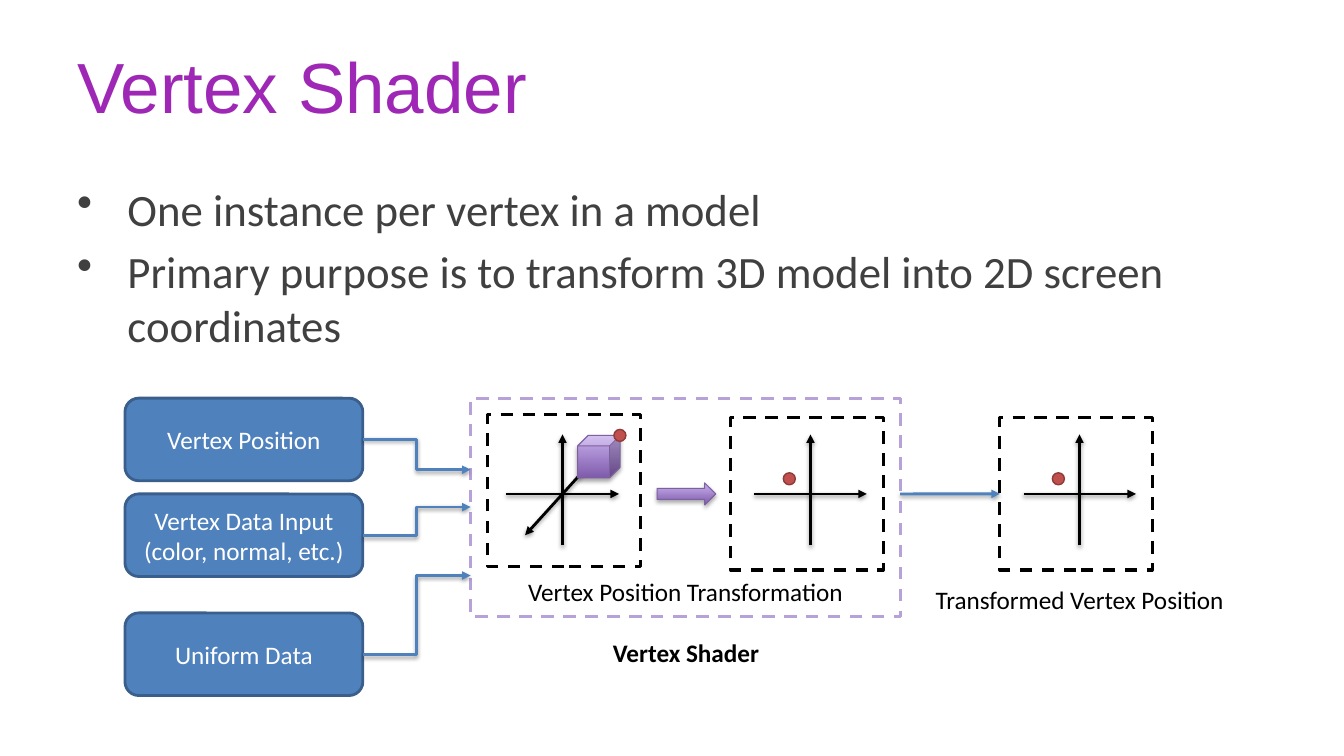
import pptx
import pptx.util
import pptx.dml.color
import pptx.enum.dml
import pptx.enum.shapes
import pptx.enum.text
import pptx.oxml
import pptx.oxml.ns
from dataclasses import dataclass

Pt = pptx.util.Pt
RGB = pptx.dml.color.RGBColor.from_string
Form = pptx.enum.shapes.MSO_SHAPE
Link = pptx.enum.shapes.MSO_CONNECTOR
Align = pptx.enum.text.PP_ALIGN
Anchor = pptx.enum.text.MSO_ANCHOR
qn = pptx.oxml.ns.qn


@dataclass(frozen=True)
class Theme:
    head: str = "9E28B5"
    body: str = "404040"
    ink: str = "000000"
    white: str = "FFFFFF"
    blue: str = "4F81BD"
    navy: str = "3A5F8C"
    lilac: str = "B7A1D9"
    plum: str = "7D60A0"
    fade: tuple = ("7F5BAB", "C8B0ED")
    red: str = "C0504D"
    rust: str = "8E3B39"
    head_font: str = "Arial"
    font: str = "Calibri"
    head_size: float = 50.7
    body_size: float = 32
    label_size: float = 18


class Deck:
    def __init__(self, theme):
        self.theme = theme
        self.file = pptx.Presentation()
        self.file.slide_width, self.file.slide_height = Pt(960), Pt(540)
        self.slide = self.file.slides.add_slide(self.file.slide_layouts[5])
        self.shapes = self.slide.shapes

    def style(self, para, size, color, font=None, bold=False):
        para.font.name = font or self.theme.font
        para.font.size = Pt(size)
        para.font.bold = bold
        para.font.color.rgb = RGB(color)

    def title(self, text, x, y, w, h):
        shape = self.shapes.title
        shape.left, shape.top, shape.width, shape.height = map(Pt, (x, y, w, h))
        frame = shape.text_frame
        frame.text = text
        frame.vertical_anchor = Anchor.TOP
        frame.margin_top = Pt(8.6)
        para = frame.paragraphs[0]
        para.alignment = Align.LEFT
        self.style(para, self.theme.head_size, self.theme.head, self.theme.head_font)

    def bullets(self, items, x, y, w, h):
        frame = self.shapes.add_textbox(*map(Pt, (x, y, w, h))).text_frame
        frame.word_wrap = True
        frame.text = "\n".join(items)
        for para in frame.paragraphs:
            self.style(para, self.theme.body_size, self.theme.body)
            para.space_before = Pt(6.4)
            props = para._p.get_or_add_pPr()
            props.set("marL", str(Pt(36)))
            props.set("indent", str(-Pt(36)))
            mark = pptx.oxml.parse_xml(
                f'<a:buChar {pptx.oxml.ns.nsdecls("a")} char="•"/>')
            props.insert_element_before(mark, "a:tabLst", "a:defRPr", "a:extLst")

    def label(self, text, x, y, w, bold=False):
        frame = self.shapes.add_textbox(*map(Pt, (x, y, w, 28.8))).text_frame
        frame.word_wrap = True
        frame.text = text
        para = frame.paragraphs[0]
        para.alignment = Align.CENTER
        self.style(para, self.theme.label_size, self.theme.ink, bold=bold)

    def shape(self, form, x, y, w, h, line, width, fill=None, dash=False):
        shape = self.shapes.add_shape(form, *map(Pt, (x, y, w, h)))
        shape.shadow.inherit = False
        if fill:
            shape.fill.solid()
            shape.fill.fore_color.rgb = RGB(fill)
        else:
            shape.fill.background()
        shape.line.color.rgb = RGB(line)
        shape.line.width = Pt(width)
        if dash:
            shape.line.dash_style = pptx.enum.dml.MSO_LINE.DASH
        return shape

    def box(self, text, x, y, w, h):
        shape = self.shape(Form.ROUNDED_RECTANGLE, x, y, w, h,
                           self.theme.navy, 2, self.theme.blue)
        frame = shape.text_frame
        frame.text = text
        frame.vertical_anchor = Anchor.MIDDLE
        para = frame.paragraphs[0]
        para.alignment = Align.CENTER
        self.style(para, self.theme.label_size, self.theme.white)

    def frame(self, x, y, w, h, color):
        return self.shape(Form.RECTANGLE, x, y, w, h, color, 2.25, dash=True)

    def dot(self, x, y):
        self.shape(Form.OVAL, x, y, 8.6, 8.6, self.theme.rust, 1, self.theme.red)

    def solid(self, form, x, y, w, h):
        shape = self.shape(form, x, y, w, h, self.theme.plum, 0.75)
        shape.fill.gradient()
        shape.fill.gradient_angle = 90
        for stop, color in zip(shape.fill.gradient_stops, self.theme.fade):
            stop.color.rgb = RGB(color)
        self.shade(shape, 35, 1.8)

    def arrow(self, start, end, color, kind=Link.STRAIGHT):
        line = self.shapes.add_connector(kind, *map(Pt, (*start, *end)))
        line.line.color.rgb = RGB(color)
        line.line.width = Pt(2)
        line.line._get_or_add_ln().append(pptx.oxml.parse_xml(
            f'<a:tailEnd {pptx.oxml.ns.nsdecls("a")} type="triangle"/>'))
        self.shade(line, 38, 1.6)
        return line

    def shade(self, shape, alpha, drop):
        props = shape._element.spPr
        for old in props.findall(qn("a:effectLst")):
            props.remove(old)
        props.append(pptx.oxml.parse_xml(
            f'<a:effectLst {pptx.oxml.ns.nsdecls("a")}>'
            f'<a:outerShdw blurRad="{Pt(3.1)}" dist="{Pt(drop)}" dir="5400000" '
            f'rotWithShape="0"><a:srgbClr val="{self.theme.ink}">'
            f'<a:alpha val="{alpha * 1000}"/></a:srgbClr></a:outerShdw></a:effectLst>'))

    def axes(self, mid, base):
        self.arrow((mid, base + 36.7), (mid, base - 42.5), self.theme.ink)
        self.arrow((mid - 40, base), (mid + 40.3, base), self.theme.ink)


def main():
    theme = Theme()
    deck = Deck(theme)
    base = 352.8  # height of every horizontal axis
    side = 108.9  # side of every plot panel

    # Heading and bullets
    deck.title("Vertex Shader", 48, 21.6, 864, 90)
    deck.bullets(["One instance per vertex in a model",
                  "Primary purpose is to transform 3D model into 2D screen coordinates"],
                 48, 126, 864, 356)

    # Shader frame and its captions
    deck.frame(336.2, 284.4, 306.8, 156.2, theme.lilac)
    deck.label("Vertex Shader", 388, 451.4, 204, bold=True)
    deck.label("Vertex Position Transformation", 348.5, 408.2, 282.2)

    # 3D panel
    deck.frame(348.5, 296, side, side, theme.ink)
    deck.axes(401.8, base)
    deck.arrow((423.4, 329), (375.1, 382.3), theme.ink)
    deck.solid(Form.CUBE, 412.6, 311, 30.4, 30.4)
    deck.dot(438.5, 306.7)

    # Transformation arrow
    deck.solid(Form.RIGHT_ARROW, 469.4, 344.9, 41.8, 15.8)

    # 2D panels: inside the shader and the result
    for left in (522, 714.2):
        panel = deck.frame(left, 298.3, side, side, theme.ink)
        mid = left + 56.9
        deck.axes(mid, base)
        deck.dot(mid - 19.4, 337.7)

    # Inputs, each with an elbow into the shader
    inputs = [("Vertex Position", 284.4, 335.5),
              ("Vertex Data Input\v(color, normal, etc.)", 352.8, 362.2),
              ("Uniform Data", 437.8, 411.1)]
    for text, top, goal in inputs:
        deck.box(text, 89.3, top, 169.9, 59)
        deck.arrow((259.2, top + 29.5), (336.2, goal), theme.blue, Link.ELBOW)

    # Output
    out = deck.arrow((643, base), (714.2, base), theme.blue)
    out.end_connect(panel, 1)
    deck.label("Transformed Vertex Position", 661, 414, 220.3)

    deck.file.save("out.pptx")


if __name__ == "__main__":
    main()
